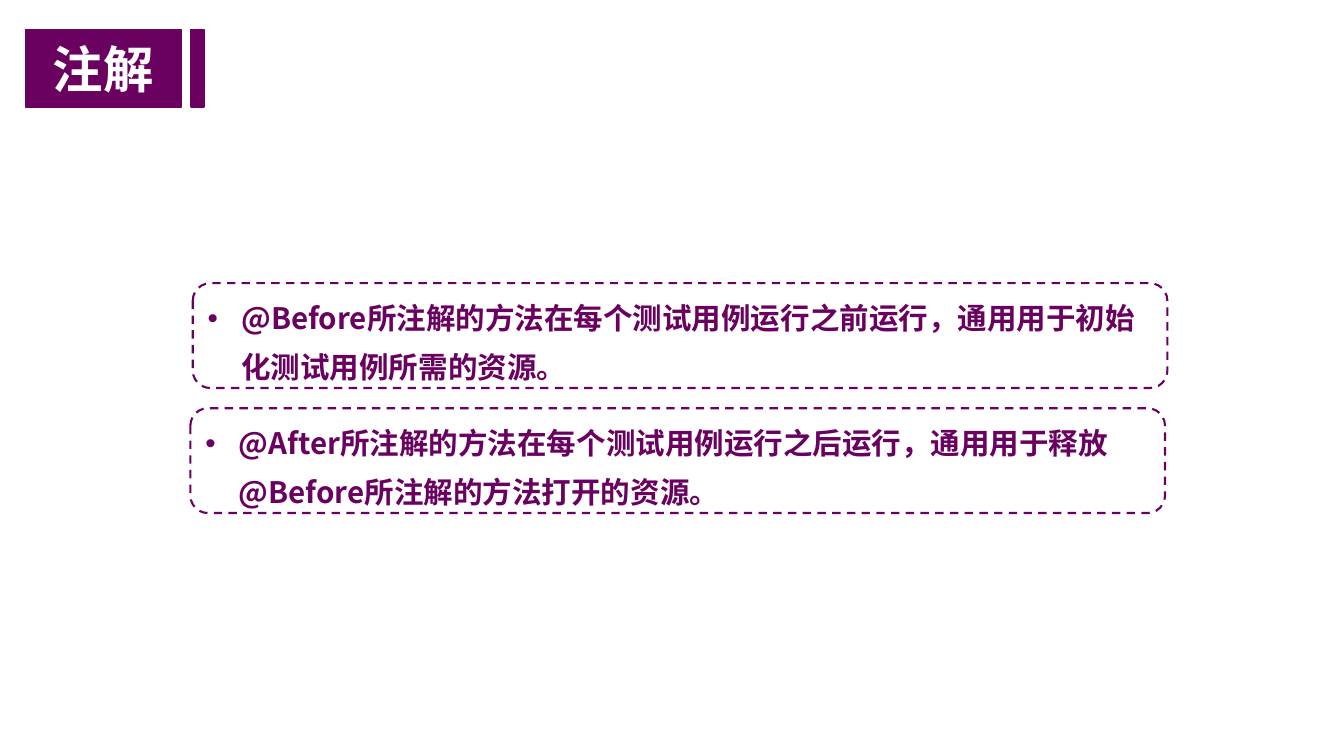
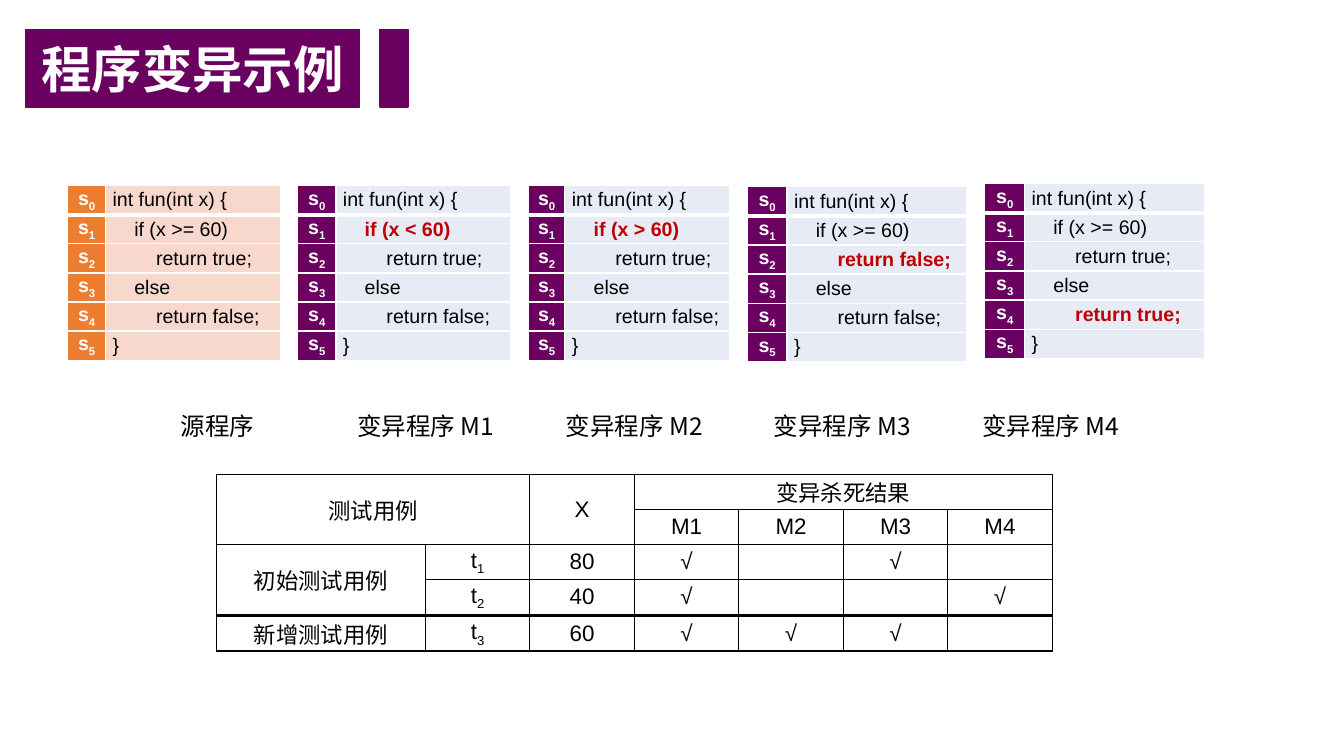
from dataclasses import dataclass

from lxml import etree
from pptx import Presentation
from pptx.dml.color import RGBColor
from pptx.enum.dml import MSO_LINE
from pptx.enum.shapes import MSO_SHAPE
from pptx.enum.text import MSO_ANCHOR, MSO_AUTO_SIZE, PP_ALIGN
from pptx.oxml.ns import qn
from pptx.presentation import Presentation as Deck
from pptx.shapes.autoshape import Shape
from pptx.slide import Slide
from pptx.table import Table, _Cell
from pptx.text.text import TextFrame, _Paragraph
from pptx.util import Pt

DASH = MSO_LINE.DASH
RECTANGLE = MSO_SHAPE.RECTANGLE
ROUNDED_RECTANGLE = MSO_SHAPE.ROUNDED_RECTANGLE
MIDDLE = MSO_ANCHOR.MIDDLE
NO_AUTOFIT = MSO_AUTO_SIZE.NONE
LEFT, CENTER, JUSTIFY = PP_ALIGN.LEFT, PP_ALIGN.CENTER, PP_ALIGN.JUSTIFY

PURPLE, ORANGE, RED = "6A0160", "ED7D31", "C00000"
LAVENDER, PEACH = "E7EBF5", "F8D7CD"
BLACK, WHITE = "000000", "FFFFFF"
LATIN_FONT, CHINESE_FONT = "Arial", "Noto Sans CJK SC"

TITLE_ONLY_LAYOUT = 5
BAND_LEFT, BAND_TOP, BAND_HEIGHT = 18, 21, 55.4
SIDES = ("L", "R", "T", "B")

SOURCE_LINES = (
    "int fun(int x) {",
    "    if (x >= 60)",
    "        return true;",
    "    else",
    "        return false;",
    "}",
)
CODE_ROW_HEIGHT = 20.8
CAPTION_LEFT, CAPTION_TOP, CAPTION_STEP = 87, 291.6, 148.8
CAPTION_WIDTH, CAPTION_HEIGHT = 136.8, 25.2

RESULT_LEFT, RESULT_ROW_HEIGHT = 154.8, 25
RESULT_COLUMNS = [149] + [74.64] * 6


@dataclass(frozen=True)
class Note:
    left: float
    top: float
    text: str


@dataclass(frozen=True)
class Program:
    caption: str
    left: float
    top: float
    label_width: float
    code_width: float
    changed_row: int | None = None
    changed_line: str = ""
    accent: str = PURPLE
    tint: str = LAVENDER


@dataclass(frozen=True)
class TestCase:
    group: str
    number: str
    value: str
    killed: tuple[str, ...]


NOTES = (
    Note(137.7, 202.3, "@Before所注解的方法在每个测试用例运行之前运行，通用用于初始化测试用例所需的资源。"),
    Note(136, 291.6, "@After所注解的方法在每个测试用例运行之后运行，通用用于释放@Before所注解的方法打开的资源。"),
)
PROGRAMS = (
    Program("源程序", 48.4, 132.6, 27, 125, accent=ORANGE, tint=PEACH),
    Program("变异程序 M1", 212.6, 132.6, 27.4, 124.6, 1, "    if (x < 60)"),
    Program("变异程序 M2", 377.5, 132.6, 26, 118, 1, "    if (x > 60)"),
    Program("变异程序 M3", 533.8, 133.4, 28.4, 128.6, 2, "        return false;"),
    Program("变异程序 M4", 703.5, 131.2, 28.4, 128.4, 4, "        return true;"),
)
MUTANTS = ("M1", "M2", "M3", "M4")
INITIAL_CASES = (
    TestCase("初始测试用例", "1", "80", ("M1", "M3")),
    TestCase("", "2", "40", ("M1", "M4")),
)
ADDED_CASES = (TestCase("新增测试用例", "3", "60", ("M1", "M2", "M3")),)


def color(value: str) -> RGBColor:
    return RGBColor.from_string(value)


def write_text(frame: TextFrame, text: str, *, size: float, font: str = LATIN_FONT,
               fill: str = BLACK, bold: bool = False, align: PP_ALIGN = CENTER,
               subscript: str = "") -> _Paragraph:
    """Fill the first paragraph, with an optional subscript after the text."""
    frame.word_wrap = True
    frame.vertical_anchor = MIDDLE
    paragraph = frame.paragraphs[0]
    paragraph.alignment = align
    for content, baseline in ((text, 0), (subscript, -25000)):
        if not content:
            continue
        run = paragraph.add_run()
        run.text = content
        run.font.name = font
        run.font.size = Pt(size)
        run.font.bold = bold
        run.font.color.rgb = color(fill)
        properties = run._r.get_or_add_rPr()
        etree.SubElement(properties, qn("a:ea"), typeface=CHINESE_FONT)
        if baseline:
            properties.set("baseline", str(baseline))
    return paragraph


def add_bullet(paragraph: _Paragraph) -> None:
    properties = paragraph._p.get_or_add_pPr()
    properties.set("marL", str(Pt(24)))
    properties.set("indent", str(-Pt(24)))
    etree.SubElement(properties, qn("a:buFont"), typeface="Arial")
    etree.SubElement(properties, qn("a:buChar"), char="•")


def paint_band(shape: Shape) -> None:
    shape.fill.solid()
    shape.fill.fore_color.rgb = color(PURPLE)
    shape.line.color.rgb = color(PURPLE)
    shape.line.width = Pt(1)


def add_titled_slide(presentation: Deck, title: str, title_width: float,
                     bar_left: float, bar_width: float) -> Slide:
    slide = presentation.slides.add_slide(presentation.slide_layouts[TITLE_ONLY_LAYOUT])
    band = slide.shapes.title
    band.left, band.top = Pt(BAND_LEFT), Pt(BAND_TOP)
    band.width, band.height = Pt(title_width), Pt(BAND_HEIGHT)
    paint_band(band)
    frame = band.text_frame
    frame.auto_size = NO_AUTOFIT
    frame.margin_left = frame.margin_right = Pt(5)
    frame.margin_top = frame.margin_bottom = Pt(3)
    write_text(frame, title, size=36, fill=WHITE, bold=True)

    bar = slide.shapes.add_shape(RECTANGLE, Pt(bar_left), Pt(BAND_TOP),
                                 Pt(bar_width), Pt(BAND_HEIGHT))
    bar.shadow.inherit = False
    paint_band(bar)
    return slide


def add_note(slide: Slide, note: Note) -> None:
    box = slide.shapes.add_shape(ROUNDED_RECTANGLE, Pt(note.left), Pt(note.top),
                                 Pt(696.2), Pt(74.9))
    box.shadow.inherit = False
    box.fill.background()
    box.line.color.rgb = color(PURPLE)
    box.line.width = Pt(1.5)
    box.line.dash_style = DASH
    paragraph = write_text(box.text_frame, note.text, size=21.1, font=CHINESE_FONT,
                           fill=PURPLE, bold=True, align=LEFT)
    add_bullet(paragraph)
    paragraph.line_spacing = Pt(35.1)


def add_plain_table(slide: Slide, left: float, top: float, widths: list[float],
                    row_count: int, row_height: float) -> Table:
    frame = slide.shapes.add_table(row_count, len(widths), Pt(left), Pt(top),
                                   Pt(sum(widths)), Pt(row_height * row_count))
    table = frame.table
    table.first_row = table.horz_banding = False
    for column, width in zip(table.columns, widths):
        column.width = Pt(width)
    for row in table.rows:
        row.height = Pt(row_height)
    return table


def format_cell(cell: _Cell, border: str, fill: str | None = None,
                thick_sides: str = "") -> None:
    """Set margins, 1 pt borders (3 pt on the thick sides) and fill."""
    cell.margin_left = cell.margin_right = Pt(5)
    cell.margin_top = cell.margin_bottom = 0
    cell.vertical_anchor = MIDDLE
    properties = cell._tc.get_or_add_tcPr()
    for side in SIDES:
        width = Pt(3 if side in thick_sides else 1)
        line = etree.SubElement(properties, qn(f"a:ln{side}"), w=str(width))
        solid = etree.SubElement(line, qn("a:solidFill"))
        etree.SubElement(solid, qn("a:srgbClr"), val=border)
    if fill:
        cell.fill.solid()
        cell.fill.fore_color.rgb = color(fill)
    else:
        cell.fill.background()


def add_program(slide: Slide, program: Program) -> None:
    table = add_plain_table(slide, program.left, program.top,
                            [program.label_width, program.code_width],
                            len(SOURCE_LINES), CODE_ROW_HEIGHT)
    for row, source_line in enumerate(SOURCE_LINES):
        changed = row == program.changed_row
        label, code = table.cell(row, 0), table.cell(row, 1)
        thick_sides = {0: "B", 1: "T"}.get(row, "")
        format_cell(label, WHITE, program.accent, thick_sides)
        format_cell(code, WHITE, program.tint, thick_sides)
        write_text(label.text_frame, "s", subscript=str(row), size=14,
                   fill=WHITE, bold=True)
        write_text(code.text_frame, program.changed_line if changed else source_line,
                   size=14, fill=RED if changed else BLACK, bold=changed, align=JUSTIFY)


def add_caption(slide: Slide, position: int, caption: str) -> None:
    box = slide.shapes.add_textbox(Pt(CAPTION_LEFT + position * CAPTION_STEP),
                                   Pt(CAPTION_TOP), Pt(CAPTION_WIDTH), Pt(CAPTION_HEIGHT))
    write_text(box.text_frame, caption, size=17.5, font=CHINESE_FONT)


def add_result_table(slide: Slide, top: float, row_count: int) -> Table:
    table = add_plain_table(slide, RESULT_LEFT, top, RESULT_COLUMNS,
                            row_count, RESULT_ROW_HEIGHT)
    for cell in table.iter_cells():
        format_cell(cell, BLACK)
    return table


def write_result(table: Table, row: int, column: int, text: str, subscript: str = "") -> None:
    write_text(table.cell(row, column).text_frame, text, size=16, subscript=subscript)


def write_cases(table: Table, first_row: int, cases: tuple[TestCase, ...]) -> None:
    for row, case in enumerate(cases, first_row):
        if case.group:
            write_result(table, row, 0, case.group)
        write_result(table, row, 1, "t", case.number)
        write_result(table, row, 2, case.value)
        for column, mutant in enumerate(MUTANTS, 3):
            if mutant in case.killed:
                write_result(table, row, column, "√")


def add_results(slide: Slide) -> None:
    table = add_result_table(slide, 339.1, 4)
    for first, last in (((0, 0), (1, 1)), ((0, 2), (1, 2)),
                        ((0, 3), (0, 6)), ((2, 0), (3, 0))):
        table.cell(*first).merge(table.cell(*last))
    for column, heading in ((0, "测试用例"), (2, "X"), (3, "变异杀死结果")):
        write_result(table, 0, column, heading)
    for column, mutant in enumerate(MUTANTS, 3):
        write_result(table, 1, column, mutant)
    write_cases(table, 2, INITIAL_CASES)
    write_cases(add_result_table(slide, 440, 1), 0, ADDED_CASES)


def main() -> None:
    presentation = Presentation()
    presentation.slide_width, presentation.slide_height = Pt(960), Pt(540)

    annotations = add_titled_slide(presentation, "注解", 111.6, 136.4, 9.4)
    for note in NOTES:
        add_note(annotations, note)

    mutation = add_titled_slide(presentation, "程序变异示例", 239, 271.6, 20)
    for position, program in enumerate(PROGRAMS):
        add_program(mutation, program)
        add_caption(mutation, position, program.caption)
    add_results(mutation)

    presentation.save("out.pptx")


if __name__ == "__main__":
    main()
